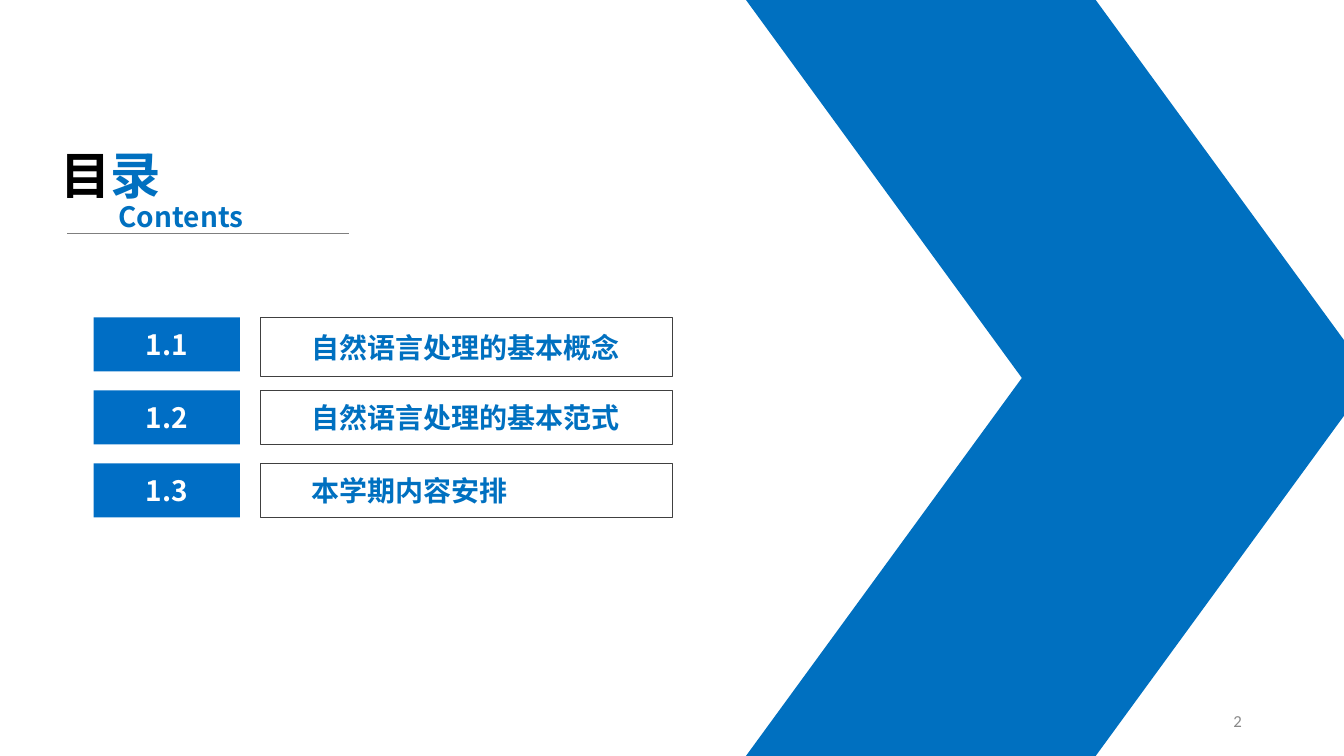
from lxml.etree import SubElement
from pptx import Presentation
from pptx.dml.color import RGBColor
from pptx.enum.shapes import MSO_CONNECTOR as Connector, MSO_SHAPE as Shape
from pptx.enum.text import MSO_ANCHOR as Anchor, PP_ALIGN as Align
from pptx.oxml.ns import qn
from pptx.util import Cm, Pt

BLUE = RGBColor(0x00, 0x70, 0xC0)
BADGE_BLUE = RGBColor(0x00, 0x6E, 0xC5)
BLACK = RGBColor(0x00, 0x00, 0x00)
WHITE = RGBColor(0xFF, 0xFF, 0xFF)
DARK_GRAY = RGBColor(0x40, 0x40, 0x40)
RULE_GRAY = RGBColor(0x7F, 0x7F, 0x7F)
NUMBER_GRAY = RGBColor(0x89, 0x89, 0x89)
HEAVY = "Noto Sans CJK SC"


def write(box, spans, size, align=Align.LEFT, anchor=Anchor.MIDDLE, name=HEAVY, bold=True):
    frame = box.text_frame
    frame.word_wrap = True
    frame.vertical_anchor = anchor
    para = frame.paragraphs[0]
    para.alignment = align
    for text, color in spans:
        span = para.add_run()
        span.text = text
        for key, value in {"size": Pt(size), "bold": bold, "name": name}.items():
            setattr(span.font, key, value)
        span.font.color.rgb = color
        SubElement(span.font._element, qn("a:ea"), typeface=name)


def add_block(kind, left, top, width, height, fill=None, line=None):
    block = page.shapes.add_shape(kind, Cm(left), Cm(top), Cm(width), Cm(height))
    block.shadow.inherit = False
    if fill is None:
        block.fill.background()
    else:
        block.fill.solid()
        block.fill.fore_color.rgb = fill
    if line is None:
        block.line.fill.background()
    else:
        block.line.color.rgb = line
        block.line.width = Pt(0.75)
    return block


deck = Presentation()
deck.slide_width, deck.slide_height = Cm(33.87), Cm(19.05)
page = deck.slides.add_slide(deck.slide_layouts[5])

for top, flip in ((9.52, "0"), (0, "1")):
    arm = add_block(Shape.PARALLELOGRAM, 18.8, top, 15.77, 9.53, fill=BLUE)
    arm.adjustments[0] = 0.73
    arm._element.spPr.xfrm.set("flipV", flip)

title = page.shapes.title
title.left, title.top, title.width, title.height = Cm(1.27), Cm(3.51), Cm(3.99), Cm(1.8)
write(title, [("目", BLACK), ("录", BLUE)], 36, anchor=Anchor.TOP)

subtitle = page.shapes.add_textbox(Cm(2.74), Cm(4.9), Cm(3.99), Cm(1.12))
write(subtitle, [("Contents", BLUE)], 20, anchor=Anchor.TOP)

rule = page.shapes.add_connector(Connector.STRAIGHT, Cm(1.7), Cm(5.87), Cm(8.79), Cm(5.87))
rule.line.color.rgb = RULE_GRAY
rule.line.width = Pt(0.5)
SubElement(rule._element.spPr, qn("a:effectLst"))

sections = [
    ("1.1", "自然语言处理的基本概念", 1.49),
    ("1.2", "自然语言处理的基本范式", 1.36),
    ("1.3", "本学期内容安排", 1.36),
]
for index, (number, topic, height) in enumerate(sections):
    top = 8 + index * 1.84
    badge = add_block(Shape.RECTANGLE, 2.36, top, 3.69, 1.36, fill=BADGE_BLUE)
    write(badge, [(number, WHITE)], 20, align=Align.CENTER)
    label = add_block(Shape.RECTANGLE, 6.57, top, 10.37, height, line=DARK_GRAY)
    label.text_frame.margin_left = Cm(1.27)
    write(label, [(topic, BLUE)], 20)

page_number = page.shapes.add_textbox(Cm(23.93), Cm(17.65), Cm(7.62), Cm(1.02))
write(page_number, [("2", NUMBER_GRAY)], 12, align=Align.RIGHT, name="Calibri", bold=False)

deck.save("out.pptx")
